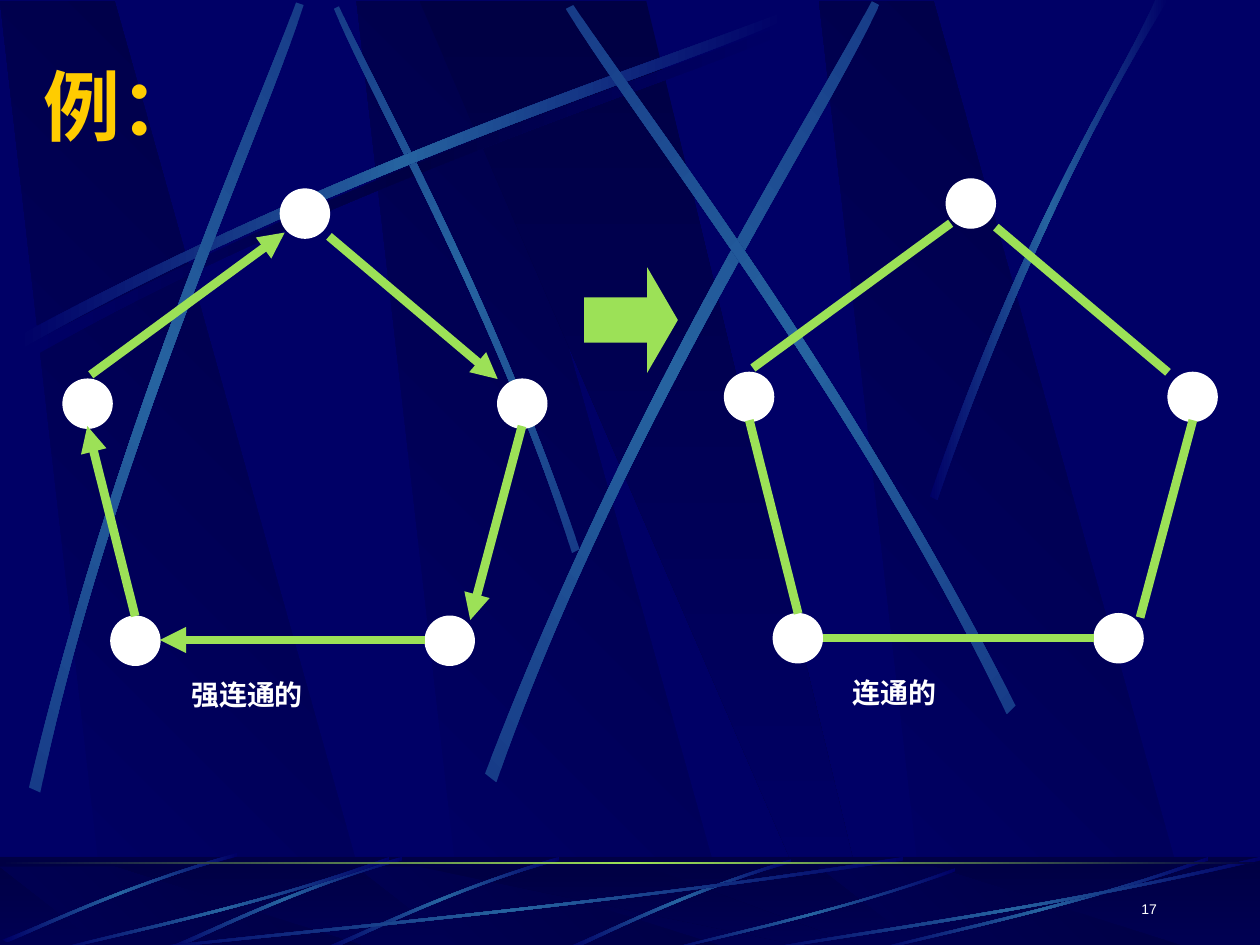
from lxml import etree
from pptx import Presentation
from pptx import util as u
from pptx.dml.color import RGBColor
from pptx.enum import shapes, text
from pptx.oxml import parse_xml
from pptx.oxml.ns import nsdecls, qn

NAVY = RGBColor(0x00, 0x00, 0x66)
DARK = RGBColor(0x00, 0x00, 0x44)
STEEL = RGBColor(0x26, 0x63, 0xA0)
DIM = RGBColor(0x17, 0x3C, 0x88)
GREEN = RGBColor(0x9C, 0xE1, 0x57)
GOLD = RGBColor(0xFF, 0xCC, 0x00)
WHITE = RGBColor(0xFF, 0xFF, 0xFF)
CJK = "Noto Sans CJK SC"

BEAM = [(0.86, 1), (3.02, 1), (0.91, 0), (0, 0)]
WIDE_BEAM = [(0, 0), (3.25, 1), (3.61, 1), (1.8, 0)]

# A streak: start, two handles, far end, then far end, two handles, start.
# Each entry: end colour, gradient angle, eight points.
SKY_STREAKS = [
    (DIM, 45, [(4.6, 4.36), (3.91, 2.34), (3.02, 0.77), (2.69, 0.05),
               (2.65, 0.07), (2.95, 0.79), (3.98, 2.58), (4.54, 4.39)]),
    (NAVY, 0, [(0.14, 2.67), (2.78, 1.25), (5.18, 0.51), (6.2, 0.1),
               (6.23, 0.16), (5.22, 0.61), (2.48, 1.43), (0.17, 2.77)]),
    (DIM, 315, [(0.23, 6.25), (0.93, 3.34), (1.97, 1.05), (2.35, 0.02),
                (2.41, 0.04), (2.07, 1.09), (0.86, 3.68), (0.32, 6.29)]),
    (DIM, 315, [(3.85, 6.14), (4.98, 3.2), (6.38, 1.02), (6.92, 0.01),
                (6.98, 0.04), (6.49, 1.08), (4.86, 3.55), (3.94, 6.21)]),
    (DIM, 45, [(8.06, 5.6), (6.7, 2.93), (5.16, 0.95), (4.55, 0.04),
               (4.49, 0.07), (5.07, 1.01), (6.85, 3.25), (7.99, 5.67)]),
    (NAVY, 0, [(7.38, 3.94), (8.14, 1.73), (8.88, 0.66), (9.17, 0),
               (9.27, 0), (8.36, 1.45), (7.69, 3.22), (7.44, 3.97)]),
]
SHADE_STREAK = [(0.2, 2.75), (2.84, 1.34), (5.24, 0.59), (6.26, 0.18),
                (6.29, 0.24), (5.28, 0.69), (2.54, 1.51), (0.23, 2.85)]
# Floor streaks that rise to the right: left, top, width, height
RISING = [(4.48, 6.82, 1.8, 0.73), (2.56, 6.8, 1.88, 0.75),
          (1.31, 6.8, 1.88, 0.75), (0.02, 6.77, 1.86, 0.71)]
RISING_CURVE = [(1, 0), (0.5, 0.37), (0.16, 0.82), (0, 0.97),
                (0.02, 1), (0.18, 0.82), (0.6, 0.3), (1, 0.04)]
SWEEPING = [(1, 6.8, 6.17, 0.75), (0.42, 6.8, 2.67, 0.75), (5.27, 6.89, 2.31, 0.66),
            (6.92, 6.8, 2.67, 0.75), (6, 6.8, 4, 0.75)]
SWEEPING_CURVE = [(1, 0.04), (0.57, 0.57), (0.17, 0.85), (0.01, 1),
                  (0, 0.99), (0.17, 0.81), (0.62, 0.51), (1, 0)]

# Pentagon in percent of the span between the outermost nodes
NODES = [(50, 0), (0, 44.5), (100, 44.5), (11, 100), (83.3, 100)]
EDGES = [((16.6, 100), (5.6, 55.5)), ((6.4, 43.5), (51, 10.2)),
         ((61.2, 11.1), (100, 44.5)), ((105.6, 55.5), (93.7, 100.9)),
         ((83.3, 105.6), (22.3, 105.6))]
NODE_SIZE = 0.39


def cm(inches):
    return u.Cm(inches * 2.54)


def set_values(target, values):
    for name, value in values.items():
        setattr(target, name, value)


def gradient(shape, colors, angle):
    """Fill with evenly spaced colours; the angle runs clockwise."""
    stops = "".join(
        f'<a:gs pos="{100000 * i // (len(colors) - 1)}"><a:srgbClr val="{color}"/></a:gs>'
        for i, color in enumerate(colors))
    shape.fill.background()
    old = shape._element.spPr.find(qn("a:noFill"))
    old.getparent().replace(old, parse_xml(
        f'<a:gradFill {nsdecls("a")}><a:gsLst>{stops}</a:gsLst>'
        f'<a:lin ang="{angle * 60000}" scaled="0"/></a:gradFill>'))


def preset(page, kind, box, color=None, line=None, width=0.75):
    shape = page.shapes.add_shape(kind, *map(cm, box))
    shape.shadow.inherit = False
    if color is not None:
        shape.fill.solid()
        shape.fill.fore_color.rgb = color
    if line is None:
        shape.line.fill.background()
    else:
        shape.line.color.rgb = line
        shape.line.width = u.Pt(width)
    return shape


def outline(page, points, colors, angle):
    points = [(cm(x), cm(y)) for x, y in points]
    builder = page.shapes.build_freeform(*points[0])
    builder.add_line_segments(points[1:], close=True)
    shape = builder.convert_to_shape()
    shape.shadow.inherit = False
    shape.line.fill.background()
    gradient(shape, colors, angle)
    return shape


def streak(page, points, edge, middle, angle):
    """An outline whose two long sides are turned into cubic curves."""
    shape = outline(page, points, [edge, middle, edge], angle)
    sides = list(shape._element.iter(qn("a:lnTo")))
    for side in (sides[0:3], sides[4:7]):
        bend = etree.Element(qn("a:cubicBezTo"))
        side[0].addprevious(bend)
        for segment in side:
            bend.append(segment[0])
            segment.getparent().remove(segment)


def scaled(points, box):
    left, top, width, height = box
    return [(left + x * width, top + y * height) for x, y in points]


def beams(page, top, height):
    for left in (2.83, 0, 6.5):
        outline(page, scaled(BEAM, (left, top, 1, height)), [NAVY, DARK], 315)
    outline(page, scaled(WIDE_BEAM, (3.33, top, 1, height)), [DARK, NAVY], 90)


def sky(page):
    beams(page, 0.01, 7.52)
    streak(page, SHADE_STREAK, NAVY, DARK, 0)
    for edge, angle, points in SKY_STREAKS:
        streak(page, points, edge, STEEL, angle)


def floor(page, box):
    left, top, width, height = box
    rectangle = shapes.MSO_SHAPE.RECTANGLE
    gradient(preset(page, rectangle, box), [DARK, NAVY], 90)
    beams(page, top + 0.08, height - 0.08)
    veil = preset(page, rectangle, box, DARK)
    color = veil._element.spPr.find(qn("a:solidFill"))[0]
    etree.SubElement(color, qn("a:alpha"), val="50000")
    for boxes, shape in ((RISING, RISING_CURVE), (SWEEPING, SWEEPING_CURVE)):
        for place in boxes:
            streak(page, scaled(shape, place), NAVY, STEEL, 0)
    rule = preset(page, rectangle, (left, top + 0.04, width, 0.02))
    gradient(rule, [DARK, GREEN, DARK], 0)


def label(page, box, words, size, color, face, bold=True, frame=None, align=None):
    area = page.shapes.add_textbox(*map(cm, box)).text_frame
    set_values(area, {"word_wrap": True, **(frame or {})})
    para = area.paragraphs[0]
    para.alignment = align
    span = para.add_run()
    span.text = words
    set_values(span.font, {"name": face, "size": u.Pt(size), "bold": bold})
    span.font.color.rgb = color
    etree.SubElement(span._r.get_or_add_rPr(), qn("a:ea"), typeface=CJK)


def edge_line(page, start, end, directed):
    line = page.shapes.add_connector(
        shapes.MSO_CONNECTOR.STRAIGHT, *map(cm, start + end))
    line.line.color.rgb = GREEN
    line.line.width = u.Pt(5)
    if directed:
        etree.SubElement(line.line._get_or_add_ln(), qn("a:tailEnd"), type="triangle")
    etree.SubElement(line._element.spPr, qn("a:effectLst"))


def pentagon(page, box, caption, caption_width, directed):
    left, top, width, height = box
    span = (left, top, (width - NODE_SIZE) / 100, (height - NODE_SIZE) / 100)
    for x, y in scaled(NODES, span):
        preset(page, shapes.MSO_SHAPE.OVAL, (x, y, NODE_SIZE, NODE_SIZE), WHITE, WHITE)
    for ends in EDGES:
        edge_line(page, *scaled(ends, span), directed)
    label(page, (left + 0.92, top + height, caption_width, 0.57), caption, 16, WHITE, CJK,
          frame={"margin_top": cm(0.1)})


def block_arrow(page, box):
    arrow = preset(page, shapes.MSO_SHAPE.RIGHT_ARROW, box, GREEN, GREEN, 5)
    arrow.adjustments[1] = 0.29
    etree.SubElement(arrow.line._get_or_add_ln(), qn("a:miter"), lim="800000")


def main():
    deck = Presentation()
    set_values(deck, {"slide_width": cm(10), "slide_height": cm(7.5)})
    page = deck.slides.add_slide(deck.slide_layouts[6])
    page.background.fill.solid()
    page.background.fill.fore_color.rgb = NAVY
    sky(page)
    floor(page, (0, 6.8, 10, 0.75))
    label(page, (0.25, 0.42, 8.5, 0.83), "例：", 44, GOLD, "Montserrat",
          frame={"vertical_anchor": text.MSO_ANCHOR.MIDDLE})
    pentagon(page, (0.5, 1.5, 3.84, 3.78), "强连通的", 1.76, directed=True)
    pentagon(page, (5.75, 1.42, 3.91, 3.84), "连通的", 1.5, directed=False)
    block_arrow(page, (4.67, 2.25, 0.67, 0.58))
    label(page, (7.2, 6.9, 2.08, 0.5), "17", 8, WHITE, "Arial", bold=False,
          frame={"vertical_anchor": text.MSO_ANCHOR.BOTTOM, "margin_bottom": cm(0.12)},
          align=text.PP_ALIGN.RIGHT)
    deck.save("out.pptx")


if __name__ == "__main__":
    main()
